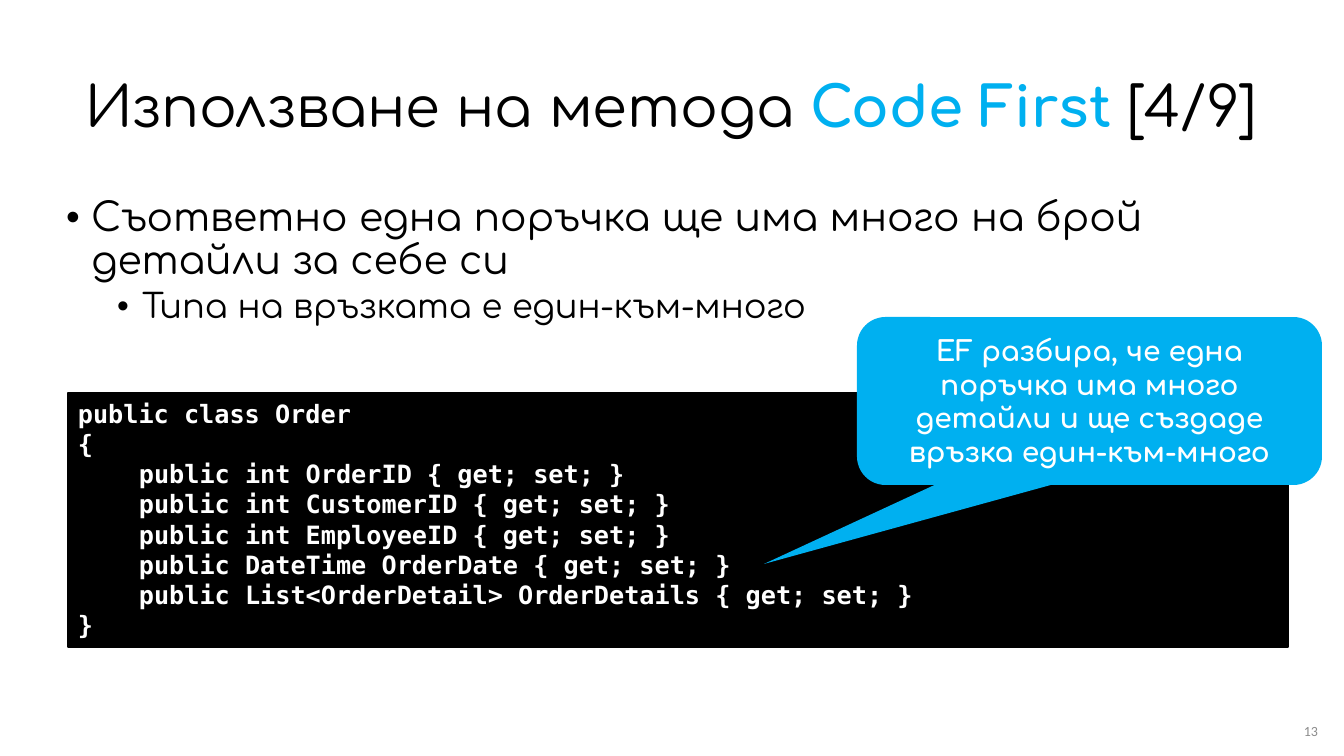
"""Build the slide on Code First and the one-to-many link of an order."""
from pptx import Presentation
from pptx import util as u
from pptx.dml.color import RGBColor
from pptx.enum import shapes, text

PX = 914400 / 100.8
HUES = {"black": "000000", "white": "FFFFFF", "blue": "00B0F0", "gray": "8C8C8C"}
ALIGN = text.PP_ALIGN


def px(*sizes):
    return [u.Emu(round(size * PX)) for size in sizes]


def write(para, words, size, font="Comfortaa", hue="black", bold=False,
          align=ALIGN.LEFT, line=1.0, before=0, left=0, hang=0):
    para.alignment, para.line_spacing = align, line
    para.space_before, para.space_after = u.Pt(before), u.Pt(0)
    props = para._p.get_or_add_pPr()
    props.set("marL", str(px(left)[0]))
    props.set("indent", str(px(-hang)[0]))
    run = para.add_run()
    run.text = words
    run.font.size, run.font.name, run.font.bold = u.Pt(size), font, bold
    run.font.color.rgb = RGBColor.from_string(HUES[hue])


deck = Presentation()
deck.slide_width, deck.slide_height = px(1344, 756)
slide = deck.slides.add_slide(deck.slide_layouts[1])
title, body = slide.placeholders

page = slide.shapes.add_textbox(*px(1275, 720, 47, 21)).text_frame
page.margin_left = page.margin_right = page.margin_top = page.margin_bottom = px(4)[0]
page.vertical_anchor = text.MSO_ANCHOR.MIDDLE
page.word_wrap = True
write(page.paragraphs[0], "13", 10, font="Calibri", hue="gray", align=ALIGN.RIGHT)

body.left, body.top, body.width, body.height = px(56, 193, 1178, 200)
frame = body.text_frame
frame.auto_size = text.MSO_AUTO_SIZE.NONE
write(frame.paragraphs[0], "Съответно една поръчка ще има много на брой детайли за себе си",
      28, line=0.9, before=10, left=25, hang=25)
point = frame.add_paragraph()
point.level = 1
write(point, "Типа на връзката е един-към-много", 24, line=0.9, before=5, left=76, hang=25)
for para in frame.paragraphs:
    bullet = para._p.pPr.makeelement(
        "{http://schemas.openxmlformats.org/drawingml/2006/main}buChar", {"char": "•"})
    para._p.pPr.append(bullet)

code = slide.shapes.add_shape(shapes.MSO_SHAPE.RECTANGLE, *px(68, 393, 1220, 254))
call = slide.shapes.add_shape(
    shapes.MSO_SHAPE.ROUNDED_RECTANGULAR_CALLOUT, *px(857, 317, 465, 168))
for shape, hue in ((code, "black"), (call, "blue")):
    shape.shadow.inherit = False
    shape.fill.solid()
    shape.fill.fore_color.rgb = RGBColor.from_string(HUES[hue])
    shape.text_frame.word_wrap = True
code.line.color.rgb = RGBColor.from_string(HUES["black"])
code.line.width = u.Pt(1)
call.line.fill.background()

code.text_frame.vertical_anchor = text.MSO_ANCHOR.TOP
rows = [
    (0, "public class Order"),
    (0, "{"),
    (1, "public int OrderID { get; set; }"),
    (1, "public int CustomerID { get; set; }"),
    (1, "public int EmployeeID { get; set; }"),
    (1, "public DateTime OrderDate { get; set; }"),
    (1, "public List<OrderDetail> OrderDetails { get; set; }"),
    (0, "}"),
]
for i, (depth, words) in enumerate(rows):
    para = code.text_frame.add_paragraph() if i else code.text_frame.paragraphs[0]
    write(para, words, 18, font="DejaVu Sans Mono", hue="white", bold=True, left=61 * depth)

for i, ratio in enumerate((-0.7, 0.97, 0.17)):
    call.adjustments[i] = ratio
call.text_frame.vertical_anchor = text.MSO_ANCHOR.MIDDLE
write(call.text_frame.paragraphs[0],
      "EF разбира, че една поръчка има много детайли и ще създаде връзка един-към-много",
      20, hue="white", bold=True, align=ALIGN.CENTER)

title.left, title.top, title.width, title.height = px(75, 38, 1222, 143)
title.text_frame.auto_size = text.MSO_AUTO_SIZE.NONE
title.text_frame.vertical_anchor = text.MSO_ANCHOR.MIDDLE
for words, hue, bold in (("Използване на метода ", "black", False),
                         ("Code First ", "blue", True), ("[4/9]", "black", False)):
    write(title.text_frame.paragraphs[0], words, 40, hue=hue, bold=bold, line=0.9)

deck.save("out.pptx")
